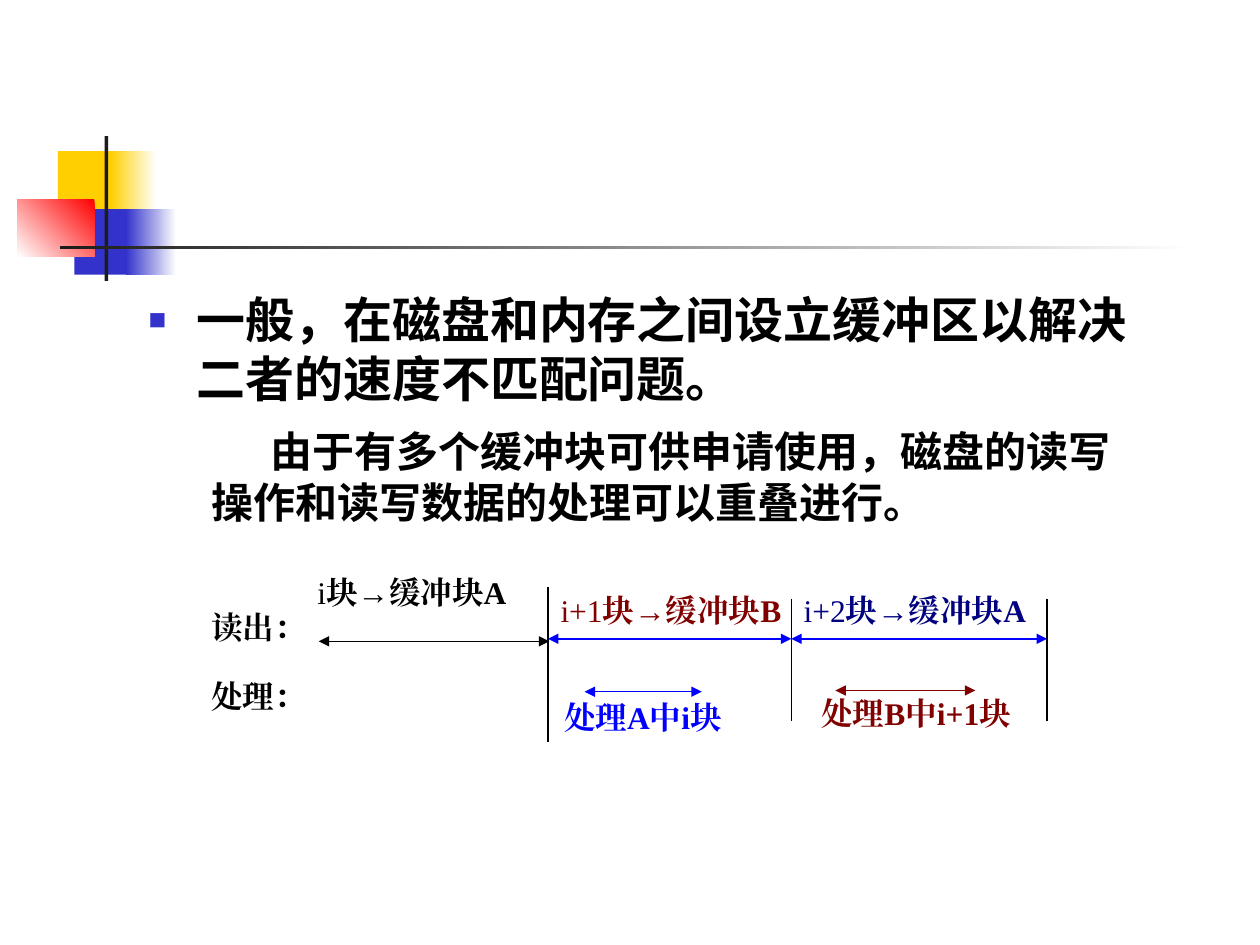
from lxml import etree
from pptx import Presentation
from pptx.dml.color import RGBColor
from pptx.enum.shapes import MSO_CONNECTOR, MSO_SHAPE
from pptx.enum.text import MSO_ANCHOR, MSO_AUTO_SIZE, PP_ALIGN
from pptx.oxml.ns import qn
from pptx.util import Inches, Pt

RECTANGLE = MSO_SHAPE.RECTANGLE
STRAIGHT = MSO_CONNECTOR.STRAIGHT
JUSTIFY, LEFT = PP_ALIGN.JUSTIFY, PP_ALIGN.LEFT
TOP = MSO_ANCHOR.TOP
NO_AUTOFIT = MSO_AUTO_SIZE.NONE

BLACK, WHITE, BLUE = "000000", "FFFFFF", "0000FF"
MAROON, NAVY = "800000", "000080"
YELLOW, INDIGO, RED, CHARCOAL = "FFCF01", "3333CC", "FF0000", "1C1C1C"
HEADING_FONT, DIAGRAM_FONT, ARROW_FONT = "Lato", "Times New Roman", "Arial"


def rgb(hex_color):
    return RGBColor.from_string(hex_color)


def add_block(slide, box, start, end=None, angle=0):
    """Borderless rectangle, plain or fading from start to end."""
    block = slide.shapes.add_shape(RECTANGLE, *map(Inches, box))
    block.shadow.inherit = False
    block.line.fill.background()
    if end is None:
        block.fill.solid()
        block.fill.fore_color.rgb = rgb(start)
    else:
        block.fill.gradient()
        block.fill.gradient_angle = angle
        for stop, color in zip(block.fill.gradient_stops, (start, end)):
            stop.color.rgb = rgb(color)


def format_run(run, size, color, font=DIAGRAM_FONT, bold=True):
    run.font.size = Pt(size)
    run.font.bold = bold
    run.font.name = font
    run.font.color.rgb = rgb(color)
    east_asian = etree.SubElement(run.font._element, qn("a:ea"))
    east_asian.set("typeface", font)


def add_text(slide, box, text, size=18, color=BLACK, font=DIAGRAM_FONT, align=JUSTIFY):
    """Wrapped bold text box; returns its paragraph."""
    frame = slide.shapes.add_textbox(*map(Inches, box)).text_frame
    frame.word_wrap = True
    paragraph = frame.paragraphs[0]
    paragraph.text = text
    paragraph.alignment = align
    for run in paragraph.runs:
        format_run(run, size, color, font)
    return paragraph


def add_read_label(slide, box, block_number, buffer_name, color):
    """Label of the form: block number → buffer."""
    paragraph = add_text(slide, box, "")
    parts = [(block_number, DIAGRAM_FONT, False), ("块", DIAGRAM_FONT, True),
             ("→", ARROW_FONT, True), (f"缓冲块{buffer_name}", DIAGRAM_FONT, True)]
    for text, font, bold in parts:
        run = paragraph.add_run()
        run.text = text
        format_run(run, 18, color, font, bold)


def add_line(slide, start, end, color=BLACK, width=0.75, arrows=False):
    line = slide.shapes.add_connector(STRAIGHT, *map(Inches, (*start, *end)))
    line.line.color.rgb = rgb(color)
    line.line.width = Pt(width)
    if arrows:
        outline = line.line._get_or_add_ln()
        for tag in ("a:headEnd", "a:tailEnd"):
            etree.SubElement(outline, qn(tag)).set("type", "triangle")
    etree.SubElement(line._element.spPr, qn("a:effectLst"))


def add_span(slide, left, right, y, color, width=0.75):
    add_line(slide, (left, y), (right, y), color, width, arrows=True)


def add_bullet(paragraph, color, percent):
    properties = paragraph._p.get_or_add_pPr()
    properties.set("marL", str(Inches(0.38)))
    properties.set("indent", str(Inches(-0.38)))
    bullet_color = etree.SubElement(properties, qn("a:buClr"))
    etree.SubElement(bullet_color, qn("a:srgbClr")).set("val", color)
    etree.SubElement(properties, qn("a:buSzPct")).set("val", str(percent * 1000))
    etree.SubElement(properties, qn("a:buFont")).set("typeface", ARROW_FONT)
    etree.SubElement(properties, qn("a:buChar")).set("char", "■")


def add_decoration(slide):
    add_block(slide, (0.46, 1.2, 0.48, 0.52), YELLOW)
    add_block(slide, (0.88, 1.2, 0.36, 0.52), WHITE, YELLOW, 180)
    add_block(slide, (0.59, 1.66, 0.46, 0.52), INDIGO)
    add_block(slide, (1, 1.66, 0.4, 0.52), WHITE, INDIGO, 180)
    add_block(slide, (0.14, 1.58, 0.61, 0.46), RED, WHITE, 225)
    add_block(slide, (0.83, 1.08, 0.03, 1.15), CHARCOAL)
    add_block(slide, (0.48, 1.95, 9, 0.03), WHITE, CHARCOAL, 180)


def add_statement(slide):
    body = slide.placeholders[1]
    body.left, body.top, body.width, body.height = map(Inches, (1.08, 2.25, 8.25, 1.08))
    frame = body.text_frame
    frame.text = "一般，在磁盘和内存之间设立缓冲区以解决二者的速度不匹配问题。"
    frame.auto_size = NO_AUTOFIT
    frame.vertical_anchor = TOP
    statement = frame.paragraphs[0]
    statement.space_before = Pt(7)
    add_bullet(statement, INDIGO, 60)
    format_run(statement.runs[0], 28, BLACK, HEADING_FONT)


def add_explanation(slide):
    explanation = add_text(
        slide, (1.58, 3.33, 7.58, 0.9),
        "由于有多个缓冲块可供申请使用，磁盘的读写操作和读写数据的处理可以重叠进行。",
        24, BLACK, HEADING_FONT, LEFT)
    explanation.space_before = Pt(15)
    explanation._p.get_or_add_pPr().set("indent", str(Inches(0.47)))


def add_timeline(slide):
    first_end, second_end, third_end = 4.35, 6.28, 8.31

    # Row labels
    for top, label in ((4.78, "读出："), (5.32, "处理：")):
        add_text(slide, (1.58, top, 1, 0.68), label)

    # First read
    add_read_label(slide, (2.42, 4.5, 3.17, 0.68), "i", "A", BLACK)
    add_span(slide, 2.53, 4.36, 5.09, BLACK)
    add_line(slide, (first_end, 4.66), (first_end, 5.89))

    # Later reads, each ending at a time mark
    later_reads = [(first_end, second_end, 2.82, "i+1", "B", MAROON),
                   (second_end, third_end, 2.97, "i+2", "A", NAVY)]
    for start, end, width, block_number, buffer_name, color in later_reads:
        add_read_label(slide, (start, 4.64, width, 0.54), block_number, buffer_name, color)
        add_line(slide, (end, 4.75), (end, 5.72))
        add_span(slide, start, end, 5.07, BLUE, 1.25)

    # Processing that overlaps the reads
    add_span(slide, 4.64, 5.57, 5.49, BLUE)
    add_text(slide, (4.38, 5.49, 1.46, 0.43), "处理A中i块", color=BLUE)
    add_span(slide, 6.63, 7.74, 5.48, MAROON)
    add_text(slide, (6.42, 5.46, 1.75, 0.43), "处理B中i+1块", color=MAROON)


def main():
    presentation = Presentation()
    presentation.slide_width, presentation.slide_height = Inches(10), Inches(7.5)
    slide = presentation.slides.add_slide(presentation.slide_layouts[1])
    title = slide.shapes.title._element
    title.getparent().remove(title)

    add_decoration(slide)
    add_statement(slide)
    add_explanation(slide)
    add_timeline(slide)
    presentation.save("out.pptx")


if __name__ == "__main__":
    main()
